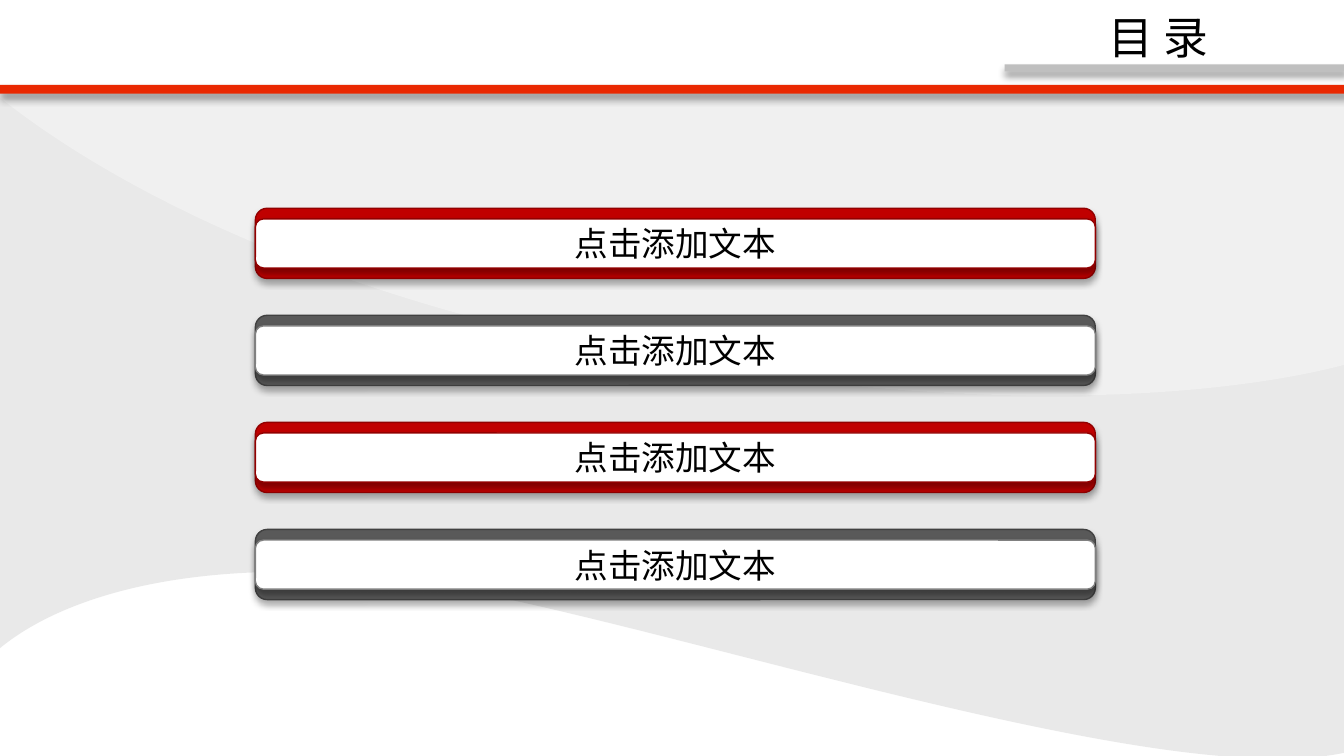
from lxml.etree import SubElement
from pptx import Presentation
from pptx.dml.color import RGBColor
from pptx.enum.shapes import MSO_SHAPE as Preset
from pptx.enum.text import MSO_ANCHOR as Anchor, MSO_AUTO_SIZE as AutoSize, PP_ALIGN as Align
from pptx.oxml.ns import qn
from pptx.util import Pt

BLACK, WHITE, RED, GRAY = "000000", "FFFFFF", "C00000", "595959"


def paint(shape, fill, line=None, opacity=None, shadow=None):
    shape.fill.solid()
    shape.fill.fore_color.rgb = RGBColor.from_string(fill)
    if line:
        shape.line.color.rgb = RGBColor.from_string(line)
        shape.line.width = Pt(0.75)
    else:
        shape.line.fill.background()
    shape.shadow.inherit = False
    properties = shape._element.spPr
    if opacity:
        color = properties.find(qn("a:solidFill"))[0]
        SubElement(color, qn("a:alpha"), val=str(opacity * 1000))
    if shadow:
        blur, distance, strength = shadow
        outer = SubElement(properties.find(qn("a:effectLst")), qn("a:outerShdw"),
                           blurRad=str(Pt(blur)), dist=str(Pt(distance)),
                           dir="5400000", algn="t", rotWithShape="0")
        color = SubElement(outer, qn("a:srgbClr"), val=BLACK)
        SubElement(color, qn("a:alpha"), val=str(strength * 1000))


def write(shape, text, size, font_name, align):
    paragraph = shape.text_frame.paragraphs[0]
    paragraph.text = text
    paragraph.alignment = align
    paragraph.font.size = Pt(size)
    paragraph.font.name = font_name
    paragraph.font.color.rgb = RGBColor.from_string(BLACK)


presentation = Presentation()
presentation.slide_width, presentation.slide_height = Pt(720), Pt(405)
slide = presentation.slides.add_slide(presentation.slide_layouts[6])
shapes = slide.shapes

waves = [
    ("D9D9D9", 56, (-1.44, 48.24, 774, 406.8), [
        ("moveTo", [(0, 48.24)]),
        ("lnTo", [(721.44, 48.96)]),
        ("cubicBezTo", [(723.6, 107.28), (826.56, 354.96), (738, 397.44)]),
        ("cubicBezTo", [(649.44, 440.64), (313.2, 315.36), (189.36, 307.44)]),
        ("cubicBezTo", [(66.24, 299.52), (14.4, 334.8), (-1.44, 348.48)]),
        ("cubicBezTo", [(-0.72, 253.44), (-0.72, 142.56), (0, 48.24)]),
    ]),
    ("F2F2F2", 83, (-4.32, 48.24, 722.16, 212.4), [
        ("moveTo", [(-4.32, 48.96)]),
        ("cubicBezTo", [(7.92, 58.32), (97.2, 135.36), (295.92, 180.72)]),
        ("cubicBezTo", [(494.64, 225.36), (649.44, 214.56), (721.44, 195.12)]),
        ("lnTo", [(722.16, 48.24)]),
    ]),
]
for color, opacity, (left, top, right, bottom), commands in waves:
    builder = shapes.build_freeform(Pt(left), Pt(top))
    builder.add_line_segments([(Pt(right), Pt(top)), (Pt(right), Pt(bottom)),
                               (Pt(left), Pt(bottom))])
    wave = builder.convert_to_shape()
    outline = next(wave._element.iter(qn("a:path")))
    for segment in list(outline):
        outline.remove(segment)
    for command, points in commands:
        segment = SubElement(outline, qn("a:" + command))
        for x, y in points:
            SubElement(segment, qn("a:pt"), x=str(Pt(x - left)), y=str(Pt(y - top)))
    SubElement(outline, qn("a:close"))
    paint(wave, color, opacity=opacity)

for left, top, width, height, color in [
    (538.2, 34.5, 183.5, 3.75, "BFBFBF"),
    (0, 45.5, 722, 4.75, "E92801"),
]:
    rule = shapes.add_shape(Preset.RECTANGLE, Pt(left), Pt(top), Pt(width), Pt(height))
    paint(rule, color, shadow=(4, 3, 40))

title = shapes.add_textbox(Pt(564.5), Pt(1.5), Pt(90), Pt(36.5))
title.text_frame.word_wrap = True
title.text_frame.auto_size = AutoSize.SHAPE_TO_FIT_TEXT
write(title, "目 录", 24, "Noto Sans CJK SC", Align.RIGHT)

bar_styles = [(RED, "920000", "920000"), (GRAY, "404040", "808080")]
for index in range(4):
    back_fill, back_line, front_line = bar_styles[index % 2]
    top = 111.6 + index * 57.35
    group = shapes.add_group_shape()
    for offset, height, fill, line in [
        (0, 37.6, back_fill, back_line),
        (5.7, 26.3, WHITE, front_line),
    ]:
        bar = group.shapes.add_shape(Preset.ROUNDED_RECTANGLE,
                                     Pt(136.8), Pt(top + offset), Pt(450), Pt(height))
        bar.adjustments[0] = 0.167
        paint(bar, fill, line, shadow=(3.5, 2.2, 32))
    bar.text_frame.word_wrap = False
    bar.text_frame.vertical_anchor = Anchor.MIDDLE
    write(bar, "点击添加文本", 18, "Calibri", Align.CENTER)

presentation.save("out.pptx")
